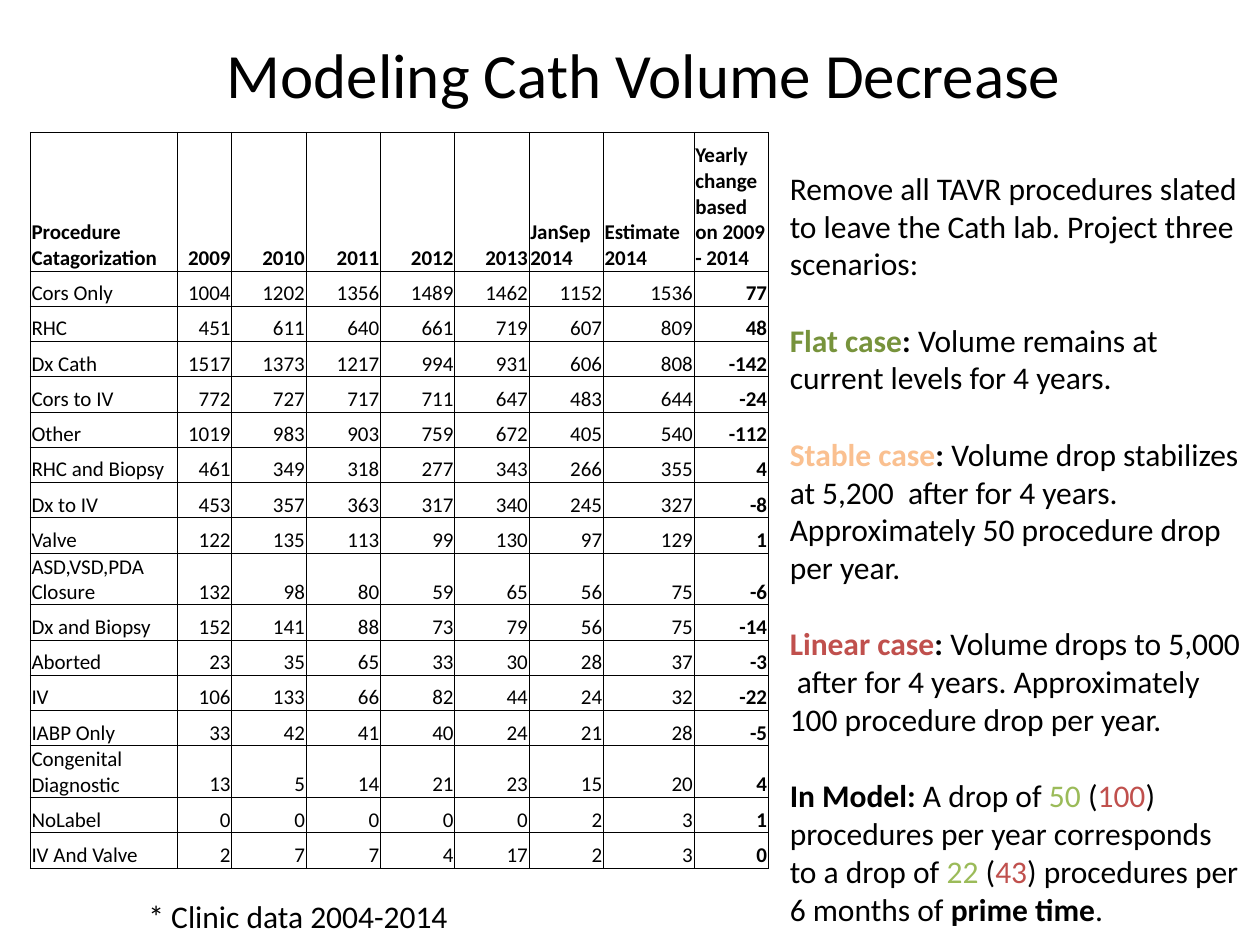
from dataclasses import dataclass

from lxml import etree
from pptx import Presentation
from pptx.dml.color import RGBColor
from pptx.enum.text import MSO_ANCHOR, MSO_AUTO_SIZE, PP_ALIGN
from pptx.oxml.ns import qn
from pptx.util import Inches, Pt

LEFT, CENTER, RIGHT = PP_ALIGN.LEFT, PP_ALIGN.CENTER, PP_ALIGN.RIGHT
MIDDLE, BOTTOM = MSO_ANCHOR.MIDDLE, MSO_ANCHOR.BOTTOM
NO_FIT = MSO_AUTO_SIZE.NONE
TITLE_ONLY = 5


@dataclass(frozen=True)
class Theme:
    font: str = "Calibri"
    ink: str = "000000"
    flat: str = "77933C"
    stable: str = "FAC090"
    linear: str = "C0504D"
    low: str = "9BBB59"
    title: int = 36
    body: int = 18
    cell: int = 12
    border: float = 0.5
    gap: int = 22


class SlideBuilder:
    def __init__(self, prs, theme):
        self.theme = theme
        self.slide = prs.slides.add_slide(prs.slide_layouts[TITLE_ONLY])

    def style(self, p, size, bold=False, align=LEFT):
        p.alignment = align
        p.font.name = self.theme.font
        p.font.size = Pt(size)
        p.font.bold = bold
        p.font.color.rgb = RGBColor.from_string(self.theme.ink)

    def title(self, text, left, top, width, height):
        sp = self.slide.shapes.title
        sp.left, sp.top = Inches(left), Inches(top)
        sp.width, sp.height = Inches(width), Inches(height)
        tf = sp.text_frame
        tf.text = text
        tf.auto_size = NO_FIT
        tf.vertical_anchor = MIDDLE
        self.style(tf.paragraphs[0], self.theme.title, align=CENTER)

    def text(self, paragraphs, left, top, width, height):
        """Each paragraph is a list of (text, colour, bold) runs."""
        sp = self.slide.shapes.add_textbox(
            Inches(left), Inches(top), Inches(width), Inches(height))
        tf = sp.text_frame
        tf.word_wrap = True
        for i, runs in enumerate(paragraphs):
            p = tf.add_paragraph() if i else tf.paragraphs[0]
            self.style(p, self.theme.body)
            p.space_before = Pt(self.theme.gap if i else 0)
            for text, color, bold in runs:
                r = p.add_run()
                r.text = text
                r.font.name = self.theme.font
                r.font.size = Pt(self.theme.body)
                r.font.bold = bold
                r.font.color.rgb = RGBColor.from_string(color)

    def borders(self, cell):
        tc_pr = cell._tc.get_or_add_tcPr()
        for side in ("lnL", "lnR", "lnT", "lnB"):
            ln = etree.SubElement(tc_pr, qn(f"a:{side}"), w=str(Pt(self.theme.border)))
            fill = etree.SubElement(ln, qn("a:solidFill"))
            etree.SubElement(fill, qn("a:srgbClr"), val=self.theme.ink)

    def table(self, rows, left, top, widths, heights):
        table = self.slide.shapes.add_table(
            len(rows), len(widths), Inches(left), Inches(top),
            Inches(sum(widths)), Inches(sum(heights))).table
        table.first_row = table.horz_banding = False
        for column, width in zip(table.columns, widths):
            column.width = Inches(width)
        for row, height in zip(table.rows, heights):
            row.height = Inches(height)
        last = len(widths) - 1
        for i, values in enumerate(rows):
            for j, value in enumerate(values):
                cell = table.cell(i, j)
                cell.text = str(value)
                cell.vertical_anchor = BOTTOM
                cell.margin_left = cell.margin_right = cell.margin_top = Inches(0.01)
                cell.margin_bottom = 0
                self.borders(cell)
                cell.fill.background()
                self.style(cell.text_frame.paragraphs[0], self.theme.cell,
                           bold=i == 0 or j == last,
                           align=RIGHT if isinstance(value, int) else LEFT)


THEME = Theme()
INK = THEME.ink

HEADER = ("Procedure Catagorization", 2009, 2010, 2011, 2012, 2013,
          "JanSep 2014", "Estimate 2014", "Yearly change based on 2009 - 2014")
PROCEDURES = [
    ("Cors Only", 1004, 1202, 1356, 1489, 1462, 1152, 1536, 77),
    ("RHC", 451, 611, 640, 661, 719, 607, 809, 48),
    ("Dx Cath", 1517, 1373, 1217, 994, 931, 606, 808, -142),
    ("Cors to IV", 772, 727, 717, 711, 647, 483, 644, -24),
    ("Other", 1019, 983, 903, 759, 672, 405, 540, -112),
    ("RHC and Biopsy", 461, 349, 318, 277, 343, 266, 355, 4),
    ("Dx to IV", 453, 357, 363, 317, 340, 245, 327, -8),
    ("Valve", 122, 135, 113, 99, 130, 97, 129, 1),
    ("ASD,VSD,PDA Closure", 132, 98, 80, 59, 65, 56, 75, -6),
    ("Dx and Biopsy", 152, 141, 88, 73, 79, 56, 75, -14),
    ("Aborted", 23, 35, 65, 33, 30, 28, 37, -3),
    ("IV", 106, 133, 66, 82, 44, 24, 32, -22),
    ("IABP Only", 33, 42, 41, 40, 24, 21, 28, -5),
    ("Congenital Diagnostic", 13, 5, 14, 21, 23, 15, 20, 4),
    ("NoLabel", 0, 0, 0, 0, 0, 2, 3, 1),
    ("IV And Valve", 2, 7, 7, 4, 17, 2, 3, 0),
]


def scenario(name, color, text):
    return [(name, color, True), (": ", INK, True), (text, INK, False)]


SCENARIOS = [
    [("Remove all TAVR procedures slated to leave the Cath lab. "
      "Project three scenarios:", INK, False)],
    scenario("Flat case", THEME.flat, "Volume remains at current levels for 4 years. "),
    scenario("Stable case", THEME.stable,
             "Volume drop stabilizes at 5,200  after for 4 years. "
             "Approximately 50 procedure drop per year."),
    scenario("Linear case", THEME.linear,
             "Volume drops to 5,000  after for 4 years. "
             "Approximately 100 procedure drop per year."),
    [("In Model: ", INK, True), ("A drop of ", INK, False),
     ("50", THEME.low, False), (" (", INK, False), ("100", THEME.linear, False),
     (") procedures per year corresponds to a drop of ", INK, False),
     ("22", THEME.low, False), (" (", INK, False), ("43", THEME.linear, False),
     (") procedures per 6 months of ", INK, False),
     ("prime time", INK, True), (".", INK, False)],
]

prs = Presentation()
prs.slide_width, prs.slide_height = Inches(10), Inches(7.5)
builder = SlideBuilder(prs, THEME)

# Title
builder.title("Modeling Cath Volume Decrease", 0.24, 0.17, 9.74, 0.83)

# Source note
builder.text([[("* Clinic data 2004-2014", INK, False)]], 1.08, 7.07, 2.82, 0.4)

# Scenarios
builder.text(SCENARIOS, 6.17, 1.29, 3.8, 6.46)

# Procedure volumes
builder.table([HEADER] + PROCEDURES, 0.24, 1.05,
              widths=[1.17, 0.43] + [0.59] * 5 + [0.72, 0.59],
              heights=[1.1] + [0.28] * len(PROCEDURES))

prs.save("out.pptx")
